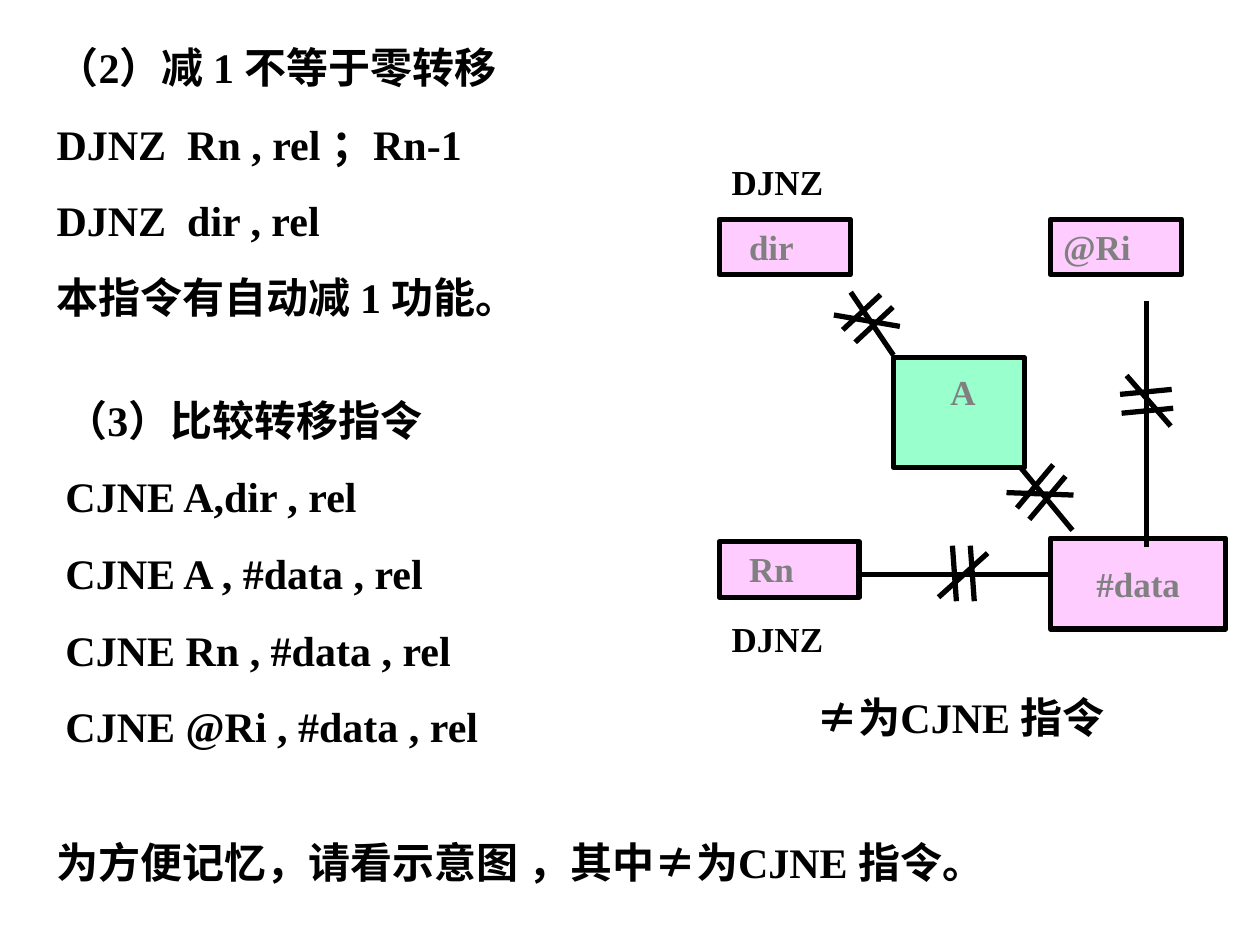
import pptx
import pptx.util
import pptx.dml.color
import pptx.enum.shapes
import pptx.enum.text
import pptx.oxml.ns
import lxml.etree

Cm = pptx.util.Cm
Pt = pptx.util.Pt
ALIGN = pptx.enum.text.PP_ALIGN
ANCHOR = pptx.enum.text.MSO_ANCHOR
COLORS = {"pink": "FFCCFF", "green": "99FFCC", "gray": "808080", "black": "000000"}


def rgb(name):
    return pptx.dml.color.RGBColor.from_string(COLORS[name])


def write(box, lines, size, color, align=ALIGN.LEFT, indent=0):
    frame = box.text_frame
    frame.word_wrap = True
    frame.vertical_anchor = ANCHOR.TOP
    frame.text = "\n".join(lines)
    for index, para in enumerate(frame.paragraphs):
        para.alignment = align
        if indent:
            para._p.get_or_add_pPr().set("marL", str(Cm(indent)))
        if index:
            para.space_before = Pt(15)
        for span in para.runs:
            span.font.name = "Times New Roman"
            span.font.size = Pt(size)
            span.font.bold = True
            span.font.color.rgb = rgb(color)


deck = pptx.Presentation()
deck.slide_width = Cm(25.4)
deck.slide_height = Cm(19.05)
page = deck.slides.add_slide(deck.slide_layouts[6])

registers = [
    ("dir", 14.5, 4.42, 2.64, 1.12, "pink", 0.35),
    ("@Ri", 21.18, 4.42, 2.64, 1.12, "pink", 0),
    ("Rn", 14.5, 10.92, 2.82, 1.12, "pink", 0.35),
    ("#data", 21.18, 10.85, 3.53, 1.83, "pink", 0),
    ("", 18.01, 7.21, 2.64, 2.21, "green", 0),
]
for label, left, top, width, height, fill, indent in registers:
    box = page.shapes.add_shape(
        pptx.enum.shapes.MSO_SHAPE.RECTANGLE, Cm(left), Cm(top), Cm(width), Cm(height)
    )
    box.shadow.inherit = False
    box.fill.solid()
    box.fill.fore_color.rgb = rgb(fill)
    box.line.color.rgb = rgb("black")
    box.line.width = Pt(3)
    if label == "#data":
        write(box, [label], 20, "gray", ALIGN.CENTER)
        box.text_frame.word_wrap = False
        box.text_frame.vertical_anchor = ANCHOR.MIDDLE
    elif label:
        write(box, [label], 20, "gray", indent=indent)

links = [
    (21.62, 10.69, 20.57, 9.42),
    (17.32, 11.58, 21.18, 11.58),
    (23.11, 6.07, 23.11, 11.02),
    (18.01, 7.16, 17.15, 5.89),
]
not_equal_marks = [
    ((19.2, 11, 19.28, 12.12), (0.36, 0), (19.91, 11.15, 18.92, 12.04)),
    ((21.23, 9.37, 20.5, 10.24), (0.25, 0.23), (21.64, 9.98, 20.29, 9.93)),
    ((22.58, 7.95, 23.62, 7.85), (0.03, 0.38), (22.71, 7.57, 23.6, 8.59)),
    ((17.75, 5.94, 16.99, 6.65), (0.25, 0.25), (18.14, 6.58, 16.81, 6.35)),
]
strokes = list(links)
for bar, (shift_x, shift_y), slash in not_equal_marks:
    x1, y1, x2, y2 = bar
    strokes += [bar, (x1 + shift_x, y1 + shift_y, x2 + shift_x, y2 + shift_y), slash]
for stroke in strokes:
    line = page.shapes.add_connector(
        pptx.enum.shapes.MSO_CONNECTOR.STRAIGHT, *[Cm(value) for value in stroke]
    )
    line.line.color.rgb = rgb("black")
    line.line.width = Pt(3)
    lxml.etree.SubElement(line._element.spPr, pptx.oxml.ns.qn("a:effectLst"))

instructions = [
    "（3）比较转移指令",
    "CJNE A,dir , rel",
    "CJNE A , #data , rel",
    "CJNE Rn , #data , rel",
    "CJNE @Ri , #data , rel",
]
decrements = [
    "（2）减 1 不等于零转移",
    "DJNZ  Rn , rel ；Rn-1",
    "DJNZ  dir , rel",
    "本指令有自动减 1 功能。",
]
texts = [
    (["A"], 18.54, 7.34, 1.75, 1.12, 20, "gray", ALIGN.CENTER),
    (["DJNZ"], 14.5, 3.12, 3, 1.12, 20, "black", ALIGN.LEFT),
    (["DJNZ"], 14.5, 12.32, 3, 1.12, 20, "black", ALIGN.LEFT),
    (decrements, 0.89, 0.71, 13.21, 5.92, 24, "black", ALIGN.LEFT),
    (instructions, 1.07, 7.82, 10.36, 10.54, 24, "black", ALIGN.LEFT),
    (["为方便记忆，请看示意图 ，其中≠为CJNE 指令。"],
     0.89, 16.74, 23.8, 1.27, 24, "black", ALIGN.LEFT),
    (["≠为CJNE 指令"], 16.21, 13.51, 9.19, 1.57, 24, "black", ALIGN.LEFT),
]
for lines, left, top, width, height, size, color, align in texts:
    box = page.shapes.add_textbox(Cm(left), Cm(top), Cm(width), Cm(height))
    write(box, lines, size, color, align)
box.text_frame.paragraphs[0].line_spacing = 1.3

deck.save("out.pptx")
